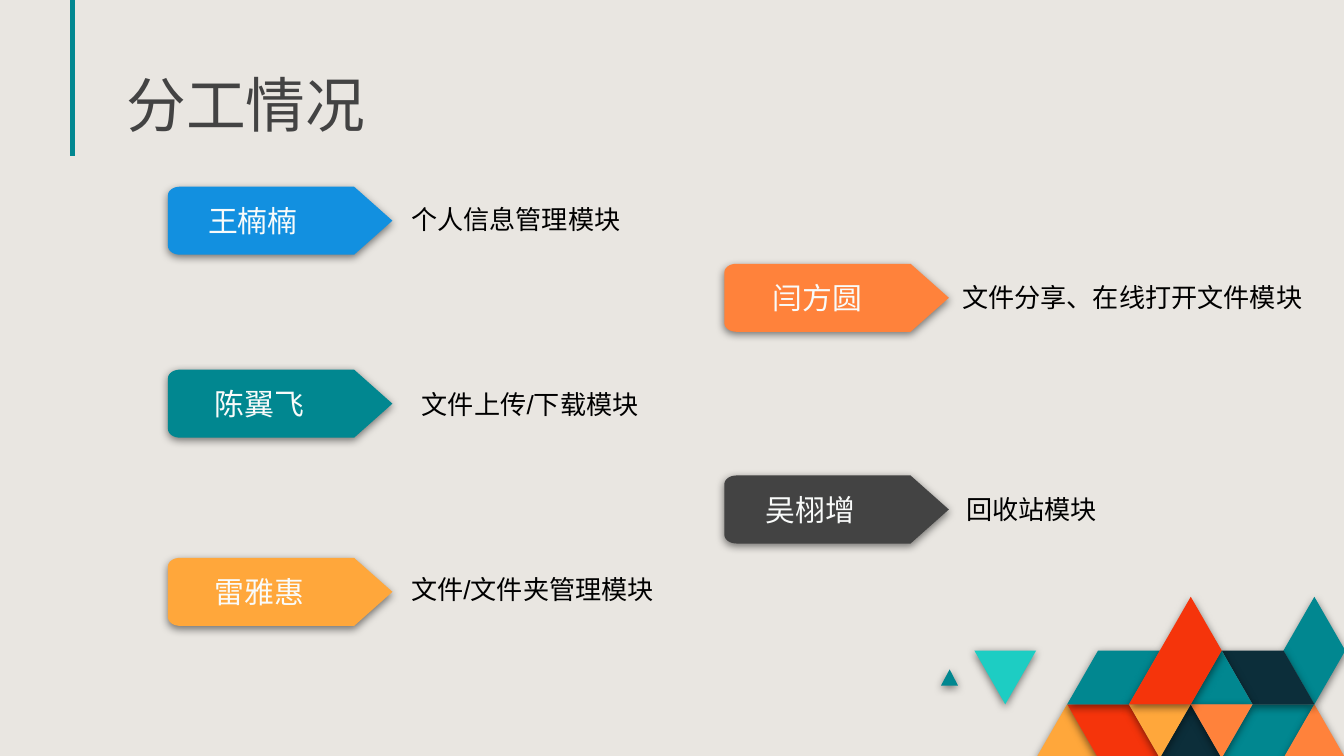
from math import cos, pi, sin

from lxml import etree
from pptx import Presentation
from pptx.dml.color import RGBColor
from pptx.enum.shapes import MSO_CONNECTOR
from pptx.enum.text import MSO_ANCHOR, MSO_AUTO_SIZE, PP_ALIGN
from pptx.oxml.ns import qn
from pptx.util import Inches, Pt

STRAIGHT = MSO_CONNECTOR.STRAIGHT
BOTTOM = MSO_ANCHOR.BOTTOM
LEFT = PP_ALIGN.LEFT
NO_FIT, GROW = MSO_AUTO_SIZE.NONE, MSO_AUTO_SIZE.SHAPE_TO_FIT_TEXT

PAPER = RGBColor(0xE9, 0xE6, 0xE1)
TEAL = RGBColor(0x01, 0x87, 0x90)
TURQUOISE = RGBColor(0x1D, 0xCD, 0xC3)
NAVY = RGBColor(0x0C, 0x2E, 0x3A)
RED = RGBColor(0xF5, 0x34, 0x0B)
ORANGE = RGBColor(0xFF, 0x82, 0x3B)
AMBER = RGBColor(0xFF, 0xA7, 0x3B)
BLUE = RGBColor(0x12, 0x90, 0xE0)
CHARCOAL = RGBColor(0x43, 0x43, 0x43)
BLACK = RGBColor(0x00, 0x00, 0x00)
OFF_WHITE = RGBColor(0xF9, 0xFB, 0xFA)

TITLE_FONT, NAME_FONT, BODY_FONT = "Roboto Condensed", "Noto Sans CJK SC", "Arial"
TAG_WIDTH, TAG_HEIGHT = 16.7, 9

# Tag colour, left, top; name and its indent; module text, its left, top, width
MEMBERS = [
    (BLUE, 12.5, 24.7, "王楠楠", 2, "个人信息管理模块", 29.6, 26, 21.2),
    (ORANGE, 53.9, 34.9, "闫方圆", 2.6, "文件分享、在线打开文件模块", 70.6, 36.4, 28.6),
    (TEAL, 12.5, 48.9, "陈翼飞", 2.5, "文件上传/下载模块", 30.4, 50.5, 22.8),
    (CHARCOAL, 53.9, 62.9, "吴栩增", 2.1, "回收站模块", 70.9, 64.4, 23.4),
    (AMBER, 12.5, 73.8, "雷雅惠", 2.5, "文件/文件夹管理模块", 29.6, 75, 22.8),
]

# Corners as (column, row) of the triangle lattice, from back to front
MOSAIC = [
    (AMBER, [(2, 3), (3, 2), (4, 3)]),
    (RED, [(3, 2), (5, 2), (6, 3), (4, 3)]),
    (TEAL, [(8, 3), (9, 2), (11, 2), (10, 3)]),
    (ORANGE, [(10, 3), (11, 2), (12, 3)]),
    (NAVY, [(6, 3), (7, 2), (8, 3)]),
    (TEAL, [(3, 2), (4, 1), (6, 1), (5, 2)]),
    (TEAL, [(-1.08, 1.65), (-0.8, 1.35), (-0.53, 1.65)]),
    (TURQUOISE, [(0, 1), (2, 1), (1, 2)]),
    (TEAL, [(10, 1), (11, 0), (12, 1), (11, 2)]),
    (NAVY, [(8, 1), (10, 1), (11, 2), (9, 2)]),
    (TEAL, [(7, 2), (8, 1), (9, 2)]),
    (ORANGE, [(7, 2), (9, 2), (8, 3)]),
    (AMBER, [(5, 2), (7, 2), (6, 3)]),
    (RED, [(5, 2), (7, 0), (8, 1), (7, 2)]),
]


class SlideBuilder:
    """Draws on one slide; lengths are percentages of its width and height."""

    def __init__(self, deck):
        self.width, self.height = deck.slide_width, deck.slide_height
        self.slide = deck.slides.add_slide(deck.slide_layouts[5])
        background = self.slide.background.fill
        background.solid()
        background.fore_color.rgb = PAPER

    def point(self, x, y):
        return round(self.width * x / 100), round(self.height * y / 100)

    def style(self, paragraph, size, font, color):
        paragraph.font.size = Pt(size)
        paragraph.font.name = font
        paragraph.font.color.rgb = color
        defaults = paragraph._p.find(".//" + qn("a:defRPr"))
        etree.SubElement(defaults, qn("a:ea"), typeface=NAME_FONT)

    def title(self, text, x, y, width, height):
        title = self.slide.shapes.title
        title.left, title.top = self.point(x, y)
        title.width, title.height = self.point(width, height)
        frame = title.text_frame
        frame.text = text
        frame.auto_size = NO_FIT
        frame.vertical_anchor = BOTTOM
        frame.margin_top = frame.margin_bottom = Inches(0.1)
        frame.paragraphs[0].alignment = LEFT
        self.style(frame.paragraphs[0], 32, TITLE_FONT, CHARCOAL)

    def label(self, text, x, y, width, height, size, font, color):
        box = self.slide.shapes.add_textbox(*self.point(x, y), *self.point(width, height))
        frame = box.text_frame
        frame.text = text
        frame.word_wrap = True
        frame.auto_size = GROW
        self.style(frame.paragraphs[0], size, font, color)

    def rule(self, x, top, bottom):
        line = self.slide.shapes.add_connector(
            STRAIGHT, *self.point(x, top), *self.point(x, bottom))
        line.line.color.rgb = TEAL
        line.line.width = Pt(2.25)
        etree.SubElement(line._element.spPr, qn("a:effectLst"))

    def polygon(self, corners, color):
        points = [self.point(x, y) for x, y in corners]
        outline = self.slide.shapes.build_freeform(*points[0])
        outline.add_line_segments(points[1:], close=True)
        shape = outline.convert_to_shape()
        shape.fill.solid()
        shape.fill.fore_color.rgb = color
        shape.line.fill.background()
        self.drop_shadow(shape)

    def drop_shadow(self, shape):
        shape.shadow.inherit = False
        effects = shape._element.spPr.find(qn("a:effectLst"))
        shadow = etree.SubElement(
            effects, qn("a:outerShdw"), blurRad=str(Pt(4.5)), dist=str(Pt(1.5)),
            dir="5400000", algn="bl", rotWithShape="0")
        black = etree.SubElement(shadow, qn("a:srgbClr"), val=str(BLACK))
        etree.SubElement(black, qn("a:alpha"), val="50000")

    def tag(self, x, y, color):
        """Arrow-shaped tag with two rounded corners on its left side."""
        radius_x, radius_y, steps = 0.9, 1.15, 8
        turns = [pi / 2 * step / steps for step in range(steps + 1)]
        shoulder = x + 13.85
        top_corner = [(x + radius_x * (1 - sin(a)), y + radius_y * (1 - cos(a)))
                      for a in turns]
        bottom_corner = [(px, 2 * y + TAG_HEIGHT - py) for px, py in reversed(top_corner)]
        arrow = [(shoulder, y + TAG_HEIGHT), (x + TAG_WIDTH, y + TAG_HEIGHT / 2),
                 (shoulder, y)]
        self.polygon(top_corner + bottom_corner[::-1][::-1] + arrow, color)

    def mosaic_tile(self, cells, color):
        self.polygon([(72.5 + 2.3 * column, 78.95 + 7.11 * row)
                      for column, row in cells], color)


def main():
    deck = Presentation()
    deck.slide_width = Inches(10)
    deck.slide_height = deck.slide_width * 9 // 16
    page = SlideBuilder(deck)

    # Decoration
    page.rule(5.4, 0, 20.6)
    for color, cells in MOSAIC:
        page.mosaic_tile(cells, color)

    # Heading
    page.title("分工情况", 8.4, 9.1, 88.5, 11.2)

    # Team members and their modules
    for color, x, y, name, indent, module, module_x, module_y, module_width in MEMBERS:
        page.tag(x, y, color)
        page.label(name, x + indent, y + 1.2, 10.4, 6.6, 16, NAME_FONT, OFF_WHITE)
        page.label(module, module_x, module_y, module_width, 6, 14, BODY_FONT, BLACK)

    deck.save("out.pptx")


if __name__ == "__main__":
    main()
